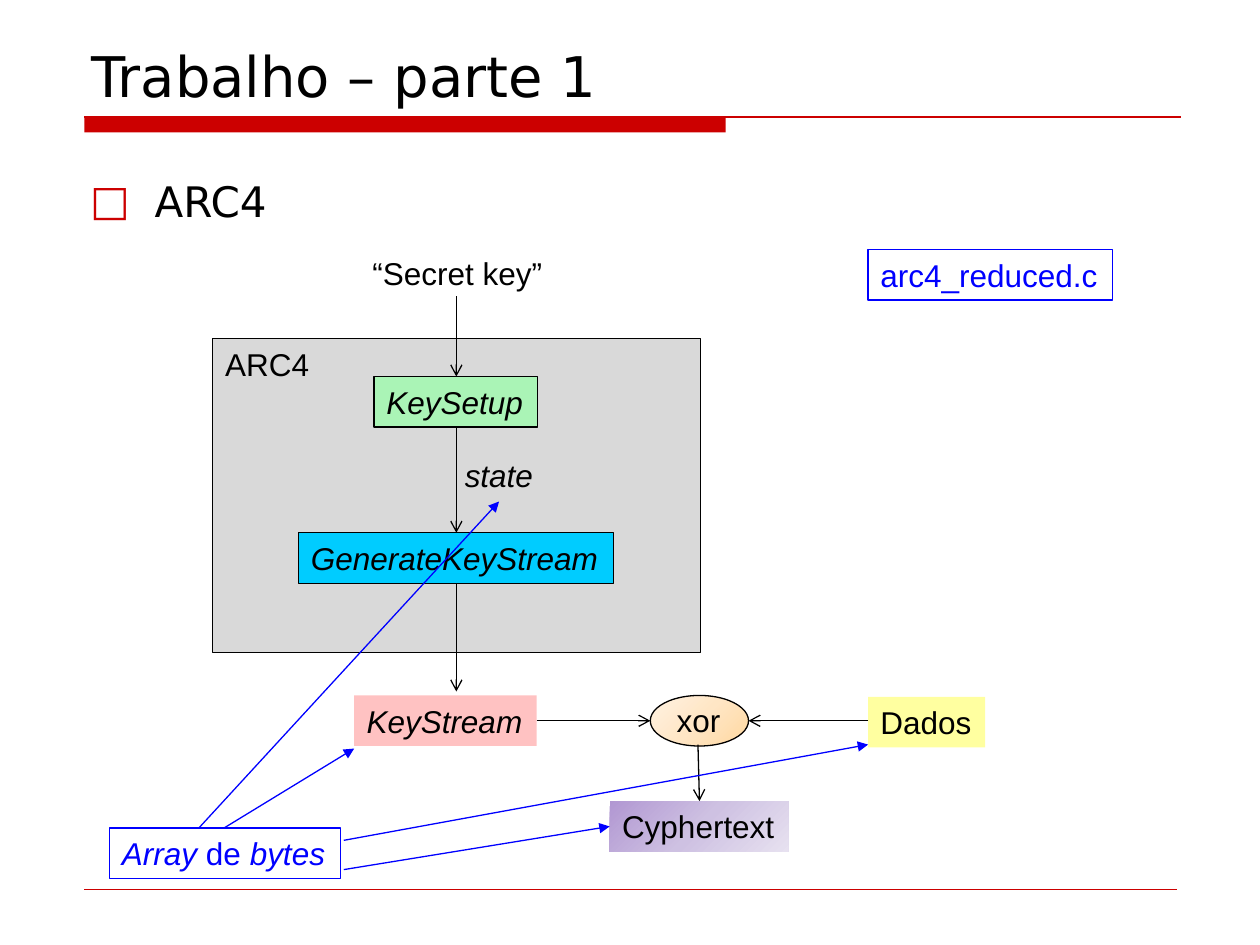
from dataclasses import dataclass

from lxml.etree import SubElement
from pptx import Presentation
from pptx.dml.color import RGBColor
from pptx.enum.shapes import MSO_CONNECTOR, MSO_SHAPE
from pptx.enum.text import MSO_ANCHOR, MSO_AUTO_SIZE
from pptx.oxml import parse_xml
from pptx.oxml.ns import nsdecls, qn
from pptx.util import Cm, Pt


@dataclass(frozen=True)
class Theme:
    black: str = "000000"
    red: str = "CC0000"
    blue: str = "0000FF"
    grey: str = "D9D9D9"
    green: str = "AAF4B6"
    cyan: str = "00CCFF"
    pink: str = "FFC2C2"
    yellow: str = "FFFFA0"
    oranges: tuple = ("FFD8A0", "FFE6C5", "FFF2E3")
    purples: tuple = ("B197D2", "CEC1E2", "E7E1F0")
    heading_font: str = "DejaVu Sans"
    label_font: str = "Arial"
    title_size: int = 32
    body_size: int = 24
    label_size: int = 18
    line_width: float = 0.75


THEME = Theme()
LABEL_HEIGHT = 1.02
FLOW_X = 9.2    # axis of the vertical flow
XOR_Y = 14.53   # axis of the horizontal flow
DATA_LEFT = 17.5


def set_gradient(shape, colors, direction):
    """Fill with evenly spaced colors; direction is the a:lin or a:path markup."""
    stops = "".join(
        f'<a:gs pos="{index * 100000 // (len(colors) - 1)}"><a:srgbClr val="{color}"/></a:gs>'
        for index, color in enumerate(colors))
    gradient = parse_xml(f'<a:gradFill {nsdecls("a")} rotWithShape="1">'
                         f'<a:gsLst>{stops}</a:gsLst>{direction}</a:gradFill>')
    shape._element.spPr.find(qn("a:prstGeom")).addnext(gradient)


def add_box(page, left, top, width, height=LABEL_HEIGHT, fill=None, line=None,
            kind=MSO_SHAPE.RECTANGLE):
    box = page.shapes.add_shape(kind, Cm(left), Cm(top), Cm(width), Cm(height))
    box.shadow.inherit = False
    if isinstance(fill, str):
        box.fill.solid()
        box.fill.fore_color.rgb = RGBColor.from_string(fill)
    elif fill is None:
        box.fill.background()
    if line:
        box.line.color.rgb = RGBColor.from_string(line)
        box.line.width = Pt(THEME.line_width)
    else:
        box.line.fill.background()
    return box


def add_text_box(page, left, top, width, height=LABEL_HEIGHT):
    return page.shapes.add_textbox(Cm(left), Cm(top), Cm(width), Cm(height))


def write_text(box, *texts, font=THEME.label_font, size=THEME.label_size,
               color=THEME.black, italic=False, wrap=False, anchor=MSO_ANCHOR.TOP):
    """Write one paragraph; a text may be a (text, italic) pair."""
    frame = box.text_frame
    frame.word_wrap = wrap
    frame.auto_size = MSO_AUTO_SIZE.NONE if wrap else MSO_AUTO_SIZE.SHAPE_TO_FIT_TEXT
    frame.vertical_anchor = anchor
    para = frame.paragraphs[0]
    para._p.get_or_add_pPr().set("algn", "l")
    for item in texts:
        text, slanted = (item, italic) if isinstance(item, str) else item
        span = para.add_run()
        span.text = text
        span.font.name = font
        span.font.size = Pt(size)
        span.font.italic = slanted
        span.font.color.rgb = RGBColor.from_string(color)
    return para


def add_bullet(para, mark, color, indent):
    props = para._p.get_or_add_pPr()
    props.set("marL", str(Cm(indent)))
    props.set("indent", str(-Cm(indent)))
    SubElement(SubElement(props, qn("a:buClr")), qn("a:srgbClr")).set("val", color)
    SubElement(props, qn("a:buFont")).set("typeface", THEME.heading_font)
    SubElement(props, qn("a:buChar")).set("char", mark)


def add_line(page, start, end, color=THEME.black, width=THEME.line_width, head=None):
    line = page.shapes.add_connector(
        MSO_CONNECTOR.STRAIGHT, *(Cm(value) for value in (*start, *end)))
    line.line.color.rgb = RGBColor.from_string(color)
    line.line.width = Pt(width)
    if head:
        SubElement(line.line._get_or_add_ln(), qn("a:tailEnd")).set("type", head)
    SubElement(line._element.spPr, qn("a:effectLst"))


def add_frame(page):
    """Title, rules and the single bullet."""
    add_box(page, 1.7, 2.36, 12.93, 0.31, fill=THEME.red)
    add_line(page, (1.7, 2.36), (23.8, 2.36), THEME.red)
    add_line(page, (1.7, 17.93), (23.72, 17.93), THEME.red, width=0.25)
    write_text(add_text_box(page, 1.6, 0.84, 22.22, 1.47), "Trabalho – parte 1",
               font=THEME.heading_font, size=THEME.title_size, wrap=True,
               anchor=MSO_ANCHOR.BOTTOM)
    para = write_text(add_text_box(page, 1.57, 3.53, 23.83, 2.44), "ARC4",
                      font=THEME.heading_font, size=THEME.body_size, wrap=True)
    para.line_spacing = 0.9
    add_bullet(para, "□", THEME.red, 1.3)


def add_nodes(page):
    add_box(page, 4.29, 6.83, 9.83, 6.32, fill=THEME.grey, line=THEME.black)
    for text, left, top, width, fill, line in (
            ("KeySetup", 7.54, 7.59, 3.3, THEME.green, THEME.black),
            ("GenerateKeyStream", 6.02, 10.74, 6.35, THEME.cyan, THEME.black),
            ("KeyStream", 7.14, 14.02, 3.68, THEME.pink, None)):
        write_text(add_box(page, left, top, width, fill=fill, line=line), text, italic=True)

    xor = add_box(page, 13.11, 14.02, 1.98, fill=THEME.oranges, line=THEME.black,
                  kind=MSO_SHAPE.OVAL)
    set_gradient(xor, THEME.oranges,
                 '<a:path path="circle"><a:fillToRect l="100000" t="100000"/></a:path>')
    for text, left, top, width, italic in (
            ("“Secret key”", 7.26, 5, 3.96, False),
            ("ARC4", 4.29, 6.83, 2.24, False),
            ("state", 9.12, 9.07, 1.9, True),
            ("xor", 13.39, 14, 1.4, False)):
        write_text(add_text_box(page, left, top, width), text, italic=italic)

    cyphertext = add_box(page, 12.29, 16.15, 3.61, fill=THEME.purples)
    set_gradient(cyphertext, THEME.purples, '<a:lin ang="2700000" scaled="1"/>')
    write_text(cyphertext, "Cyphertext")
    write_text(add_box(page, DATA_LEFT, 14.05, 2.36, fill=THEME.yellow), "Dados")
    write_text(add_box(page, DATA_LEFT, 5.03, 4.93, line=THEME.blue),
               "arc4_reduced.c", color=THEME.blue)
    write_text(add_box(page, 2.21, 16.69, 4.65, line=THEME.blue),
               ("Array", True), " de ", ("bytes", True), color=THEME.blue)


def add_arrows(page):
    for top, bottom in ((5.97, 7.59), (8.61, 10.74), (11.76, 13.94)):
        add_line(page, (FLOW_X, top), (FLOW_X, bottom), head="arrow")
    for start, end in ((10.82, 13.11), (DATA_LEFT, 15.09)):
        add_line(page, (start, XOR_Y), (end, XOR_Y), head="arrow")
    add_line(page, (14.07, 15.01), (14.1, 16.15), head="arrow")
    for start, end in (((4.52, 16.69), (7.14, 15.09)),
                       ((6.93, 16.94), (DATA_LEFT, 15.01)),
                       ((6.93, 17.53), (12.29, 16.66)),
                       ((4.01, 16.69), (10.06, 10.11))):
        add_line(page, start, end, THEME.blue, head="triangle")


def main():
    deck = Presentation()
    deck.slide_width, deck.slide_height = Cm(25.4), Cm(19.05)
    page = deck.slides.add_slide(deck.slide_layouts[6])
    add_frame(page)
    add_nodes(page)
    add_arrows(page)
    deck.save("out.pptx")


if __name__ == "__main__":
    main()
